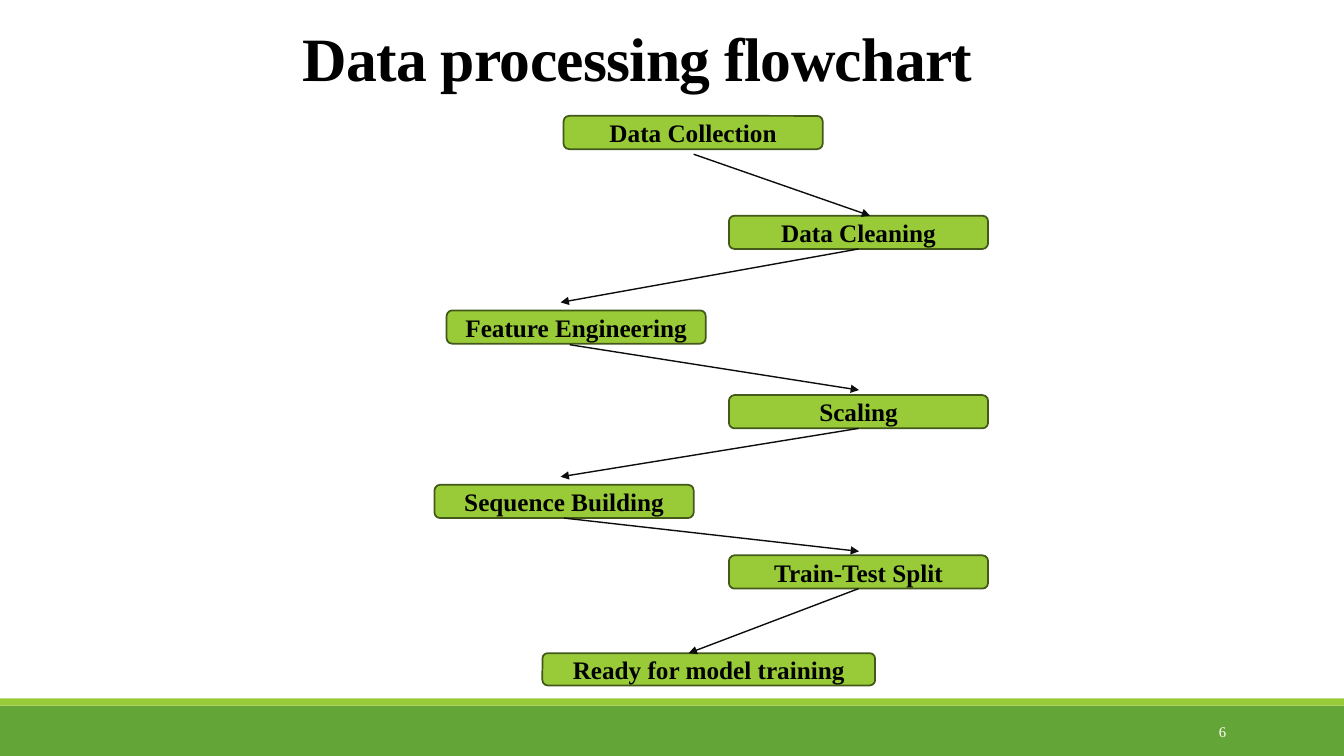
from lxml.etree import SubElement
from pptx import Presentation
from pptx.dml.color import RGBColor
from pptx.enum.shapes import MSO_CONNECTOR, MSO_SHAPE
from pptx.enum.text import MSO_ANCHOR as ANCHOR, PP_ALIGN as ALIGN
from pptx.oxml.ns import qn
from pptx.util import Inches, Pt

BLACK = RGBColor(0x00, 0x00, 0x00)
WHITE = RGBColor(0xFF, 0xFF, 0xFF)
ARROW = RGBColor(0x0D, 0x0D, 0x0D)
LIME = RGBColor(0x99, 0xCB, 0x38)
GREEN = RGBColor(0x63, 0xA5, 0x37)
OLIVE = RGBColor(0x43, 0x59, 0x19)


def write(shape, text, size, color=BLACK, bold=True, align=ALIGN.LEFT,
          anchor=ANCHOR.MIDDLE, spacing=None):
    frame = shape.text_frame
    frame.word_wrap = True
    frame.vertical_anchor = anchor
    para = frame.paragraphs[0]
    para.alignment = align
    span = para.add_run()
    span.text = text
    span.font.name = "Times New Roman"
    span.font.size = Pt(size)
    span.font.bold = bold
    span.font.color.rgb = color
    if spacing is not None:
        span.font._element.set("spc", str(int(spacing * 100)))


def add_block(kind, left, top, width, height, fill):
    block = slide.shapes.add_shape(
        kind, Inches(left), Inches(top), Inches(width), Inches(height))
    block.shadow.inherit = False
    block.fill.solid()
    block.fill.fore_color.rgb = fill
    block.line.fill.background()
    return block


deck = Presentation()
deck.slide_width = Inches(13.33)
deck.slide_height = Inches(7.5)
slide = deck.slides.add_slide(deck.slide_layouts[6])

for top, height, fill in [(7, 0.5, GREEN), (6.93, 0.07, LIME)]:
    add_block(MSO_SHAPE.RECTANGLE, 0, top, 13.33, height, fill)

title = slide.shapes.add_textbox(Inches(2.9), Inches(0.14), Inches(7.11), Inches(0.84))
write(title, "Data processing flowchart", 44, anchor=ANCHOR.BOTTOM, spacing=-0.5)

page_number = slide.shapes.add_textbox(
    Inches(10.83), Inches(7.06), Inches(1.43), Inches(0.4))
write(page_number, "6", 10.5, color=WHITE, bold=False, align=ALIGN.RIGHT)

steps = [
    ("Data Collection", 5.59, 1.15, 2.57, 0.33),
    ("Data Cleaning", 7.23, 2.14, 2.57, 0.33),
    ("Feature Engineering", 4.43, 3.08, 2.57, 0.33),
    ("Scaling", 7.23, 3.92, 2.57, 0.33),
    ("Sequence Building", 4.31, 4.81, 2.57, 0.33),
    ("Train-Test Split", 7.23, 5.51, 2.57, 0.33),
    ("Ready for model training", 5.38, 6.48, 3.3, 0.32),
]
boxes = {}
for label, left, top, width, height in steps:
    box = add_block(MSO_SHAPE.ROUNDED_RECTANGLE, left, top, width, height, LIME)
    box.line.color.rgb = OLIVE
    box.line.width = Pt(1.25)
    write(box, label, 18, align=ALIGN.CENTER)
    boxes[label] = box

arrows = [
    (None, 6.88, 1.53, 8.63, 2.14),
    ("Data Cleaning", 8.52, 2.48, 5.56, 3),
    (None, 5.65, 3.42, 8.52, 3.87),
    ("Scaling", 8.52, 4.26, 5.56, 4.73),
    ("Sequence Building", 5.59, 5.15, 8.52, 5.47),
    ("Train-Test Split", 8.52, 5.84, 6.83, 6.48),
]
for source, x1, y1, x2, y2 in arrows:
    arrow = slide.shapes.add_connector(
        MSO_CONNECTOR.STRAIGHT, Inches(x1), Inches(y1), Inches(x2), Inches(y2))
    if source:
        arrow.begin_connect(boxes[source], 2)
    arrow.line.color.rgb = ARROW
    arrow.line.width = Pt(1)
    SubElement(arrow.line._get_or_add_ln(), qn("a:tailEnd"), type="triangle")
    SubElement(arrow._element.spPr, qn("a:effectLst"))

deck.save("out.pptx")
